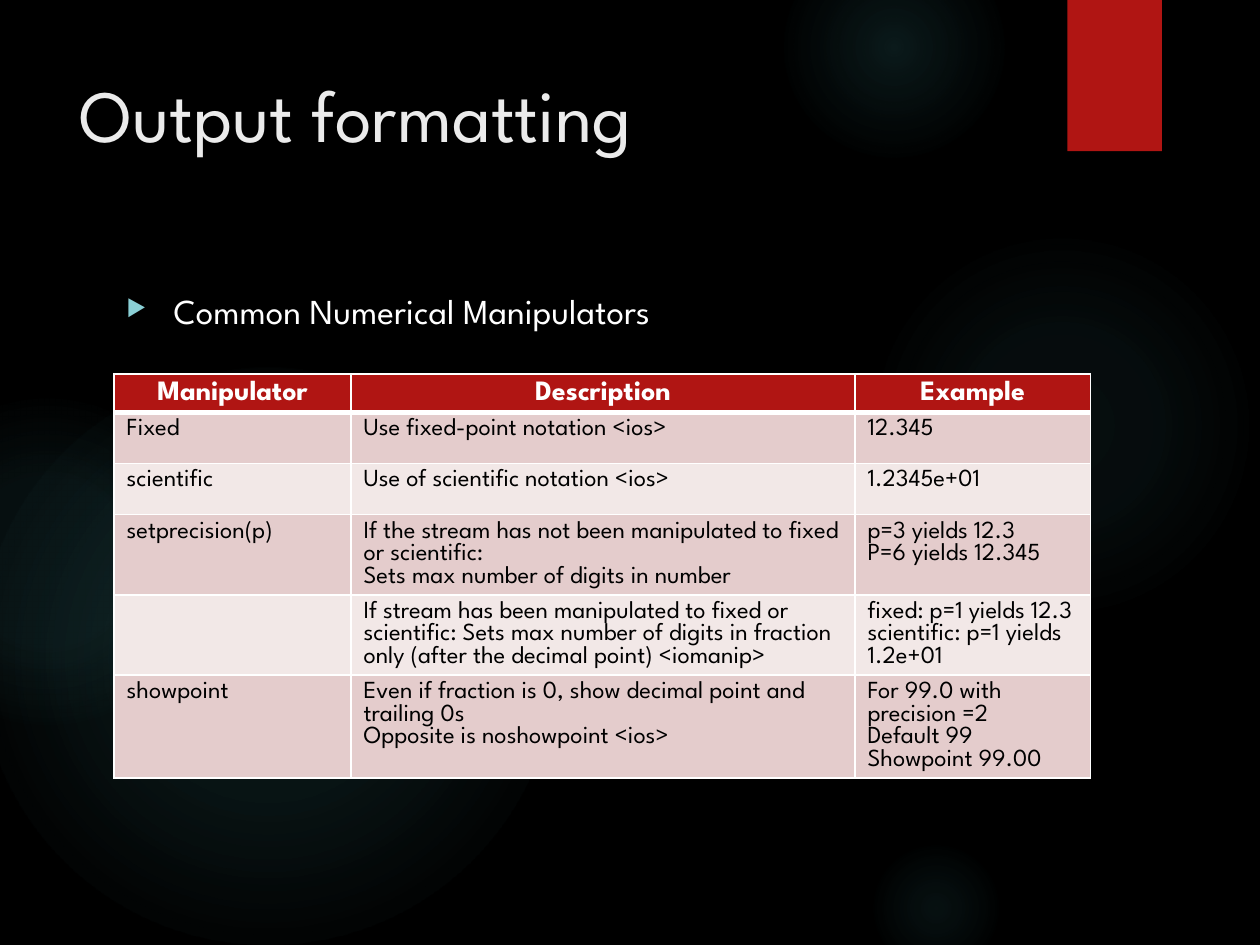
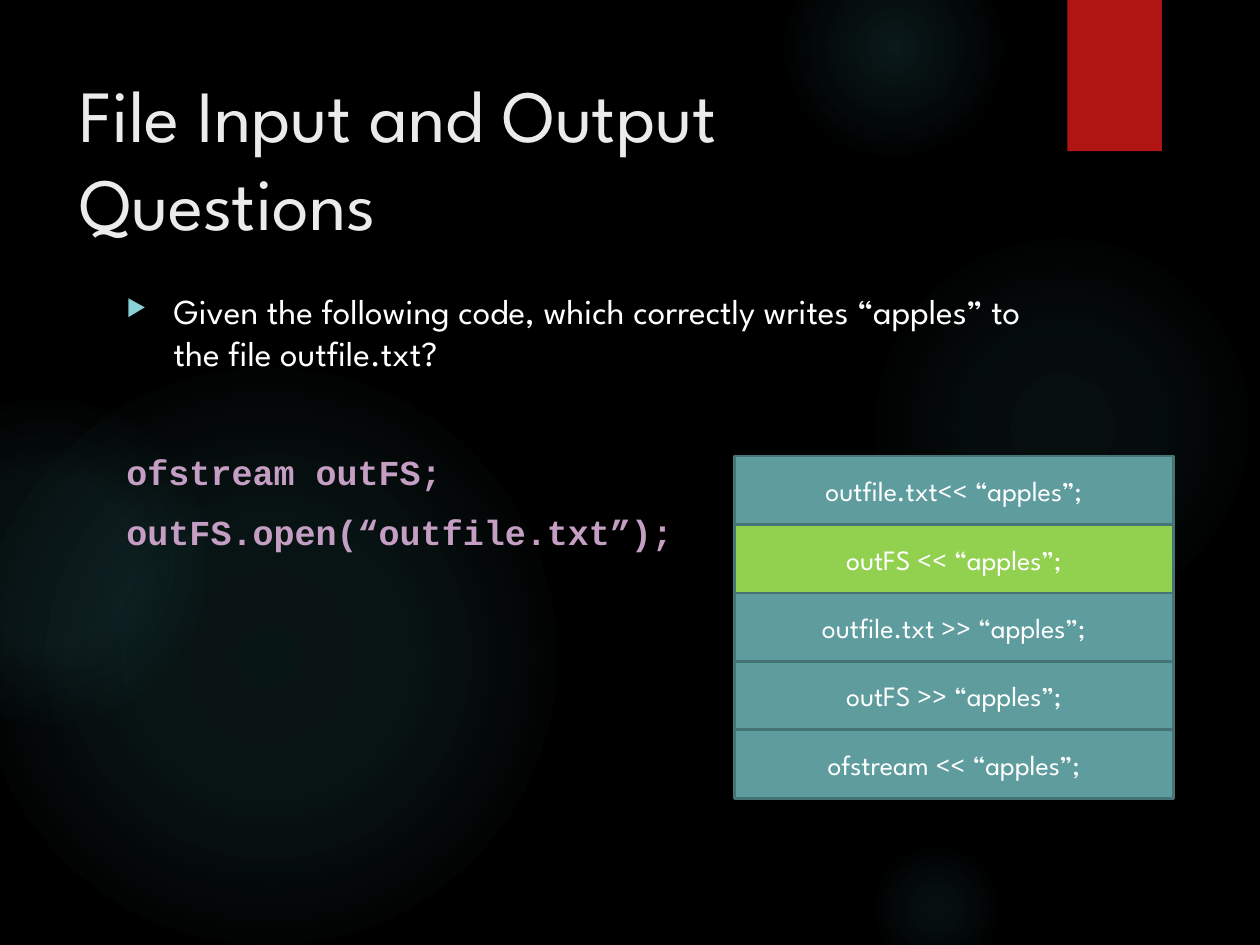
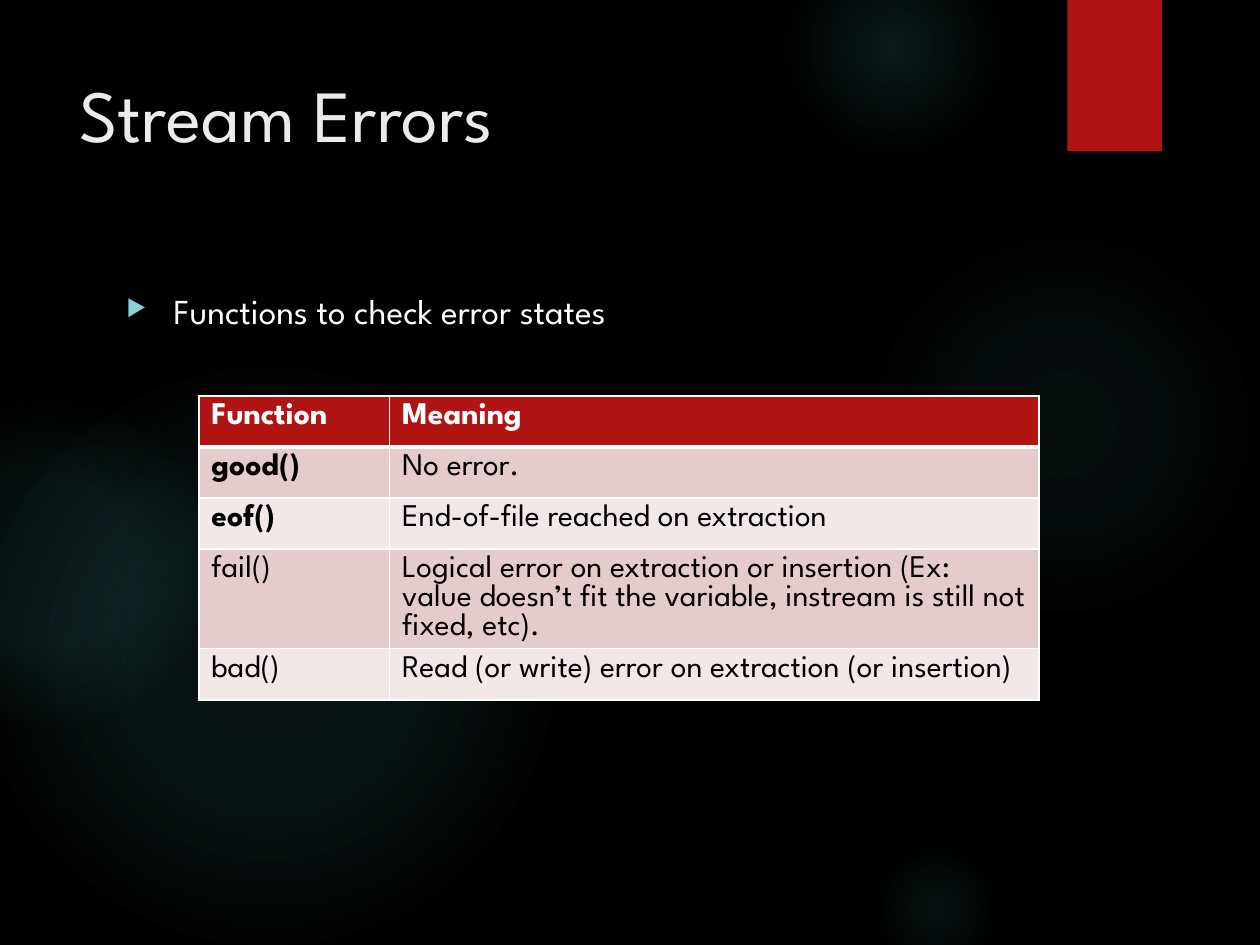
import pptx
import pptx.dml.color
import pptx.enum.shapes
import pptx.enum.text
import pptx.oxml
import pptx.oxml.ns
import pptx.util

Pt = pptx.util.Pt
RGB = pptx.dml.color.RGBColor
SHAPE = pptx.enum.shapes.MSO_SHAPE
ALIGN = pptx.enum.text.PP_ALIGN
ANCHOR = pptx.enum.text.MSO_ANCHOR
NS = pptx.oxml.ns.nsdecls("a")

SANS, MONO = "League Spartan", "Courier New"
BLACK = RGB(0x00, 0x00, 0x00)
WHITE = RGB(0xFF, 0xFF, 0xFF)
PALE = RGB(0xEB, 0xEB, 0xEB)
RED = RGB(0xB0, 0x15, 0x13)
BANDS = RGB(0xE4, 0xCC, 0xCC), RGB(0xF2, 0xE8, 0xE7)
GLOW = RGB(0x50, 0xB9, 0xC1)
AQUA = RGB(0x8A, 0xD0, 0xD6)
LILAC = RGB(0xC5, 0x9E, 0xC3)
TEAL = RGB(0x5F, 0x9C, 0x9D)
EDGE = RGB(0x46, 0x73, 0x74)
GREEN = RGB(0x92, 0xD0, 0x50)

LEFT = 65.2
LEADING = 0.92  # line height of table text, in ems

# left, top, size, then (position, opacity) stops in percent
GLOWS = [
    (496, 132, 222, [(0, 7), (36, 6), (69, 0)]),
    (448, -36, 126, [(0, 14), (36, 7), (73, 0)]),
    (496, 480, 78, [(0, 9), (36, 5), (66, 0)]),
    (-12, 210, 330, [(0, 11), (36, 10), (75, 0)]),
    (-66, 228, 186, [(0, 8), (36, 8), (72, 0)]),
]

MANIPS = [
    ["Manipulator", "Description", "Example"],
    ["Fixed", "Use fixed-point notation <ios>", "12.345"],
    ["scientific", "Use of scientific notation <ios>", "1.2345e+01"],
    ["setprecision(p)",
     "If the stream has not been manipulated to fixed or scientific:\n"
     "Sets max number of digits in number",
     "p=3 yields 12.3\nP=6 yields 12.345"],
    ["",
     "If stream has been manipulated to fixed or scientific: Sets max number "
     "of digits in fraction only (after the decimal point) <iomanip>",
     "fixed: p=1 yields 12.3\nscientific: p=1 yields 1.2e+01"],
    ["showpoint",
     "Even if fraction is 0, show decimal point and trailing 0s\n"
     "Opposite is noshowpoint <ios>",
     "For 99.0 with precision =2\nDefault 99\nShowpoint 99.00"],
]
ERRORS = [
    ["Function", "Meaning"],
    ["good()", "No error."],
    ["eof()", "End-of-file reached on extraction"],
    ["fail()", "Logical error on extraction or insertion (Ex: value doesn’t fit "
               "the variable, instream is still not fixed, etc)."],
    ["bad()", "Read (or write) error on extraction (or insertion)"],
]
CHOICES = [
    "outfile.txt<< “apples”;",
    "outFS << “apples”;",
    "outfile.txt >> “apples”;",
    "outFS >> “apples”;",
    "ofstream << “apples”;",
]
ANSWER = 1


def style(para, size, color, face=SANS, bold=False):
    font = para.font
    font.name, font.size, font.bold = face, Pt(size), bold
    font.color.rgb = color


def add_shape(slide, kind, left, top, width, height, fill=None):
    shape = slide.shapes.add_shape(kind, Pt(left), Pt(top), Pt(width), Pt(height))
    shape.shadow.inherit = False
    shape.line.fill.background()
    if fill is None:
        shape.fill.background()
    else:
        shape.fill.solid()
        shape.fill.fore_color.rgb = fill
    return shape


def add_glow(slide, left, top, size, stops):
    """Add a circle that fades out from its centre."""
    shape = add_shape(slide, SHAPE.OVAL, left, top, size, size)
    marks = "".join(
        f'<a:gs pos="{pos * 1000}"><a:srgbClr val="{GLOW}">'
        f'<a:alpha val="{alpha * 1000}"/></a:srgbClr></a:gs>'
        for pos, alpha in stops)
    grad = pptx.oxml.parse_xml(
        f'<a:gradFill {NS}><a:gsLst>{marks}</a:gsLst><a:path path="circle">'
        '<a:fillToRect l="50000" t="50000" r="50000" b="50000"/></a:path></a:gradFill>')
    props = shape.element.spPr
    props.replace(props.find(pptx.oxml.ns.qn("a:noFill")), grad)


def add_text(slide, left, top, width, height):
    box = slide.shapes.add_textbox(Pt(left), Pt(top), Pt(width), Pt(height))
    box.text_frame.word_wrap = True
    return box.text_frame


def add_slide(deck, title, point):
    """Add a slide with backdrop, title and one bullet; return it and its body."""
    slide = deck.slides.add_slide(deck.slide_layouts[6])
    back = slide.background.fill
    back.solid()
    back.fore_color.rgb = BLACK
    for glow in GLOWS:
        add_glow(slide, *glow)
    add_shape(slide, SHAPE.RECTANGLE, 610, 0, 54, 86.4, RED)

    head = add_text(slide, 38.2, 36, 556, 110).paragraphs[0]
    head.text = title
    style(head, 42, PALE)

    body = add_text(slide, LEFT, 162, 528.5, 330.5)
    para = body.paragraphs[0]
    para.text = point
    add_bullet(para)
    style(para, 20, WHITE)
    return slide, body


def add_bullet(para):
    props = para._p.get_or_add_pPr()
    props.set("marL", str(Pt(27)))
    props.set("indent", str(-Pt(27)))
    for xml in (f'<a:buClr {NS}><a:srgbClr val="{AQUA}"/></a:buClr>',
                f'<a:buSzPct {NS} val="65000"/>',
                f'<a:buChar {NS} char="▶"/>'):
        props.append(pptx.oxml.parse_xml(xml))


def add_code(body, lines):
    for num, line in enumerate(lines):
        para = body.add_paragraph()
        para.text = line
        para.space_before = Pt(10 if num else 44)
        style(para, 20, LILAC, MONO, True)


def set_edges(cell, top, base):
    """Draw white cell borders; top and base are widths in points."""
    props = cell._tc.get_or_add_tcPr()
    for num, (side, width) in enumerate(zip("LRTB", (1, 1, top, base))):
        props.insert(num, pptx.oxml.parse_xml(
            f'<a:ln{side} {NS} w="{Pt(width)}"><a:solidFill>'
            f'<a:srgbClr val="{WHITE}"/></a:solidFill></a:ln{side}>'))


def add_table(slide, left, top, cols, rows, head, sizes, align, bold=()):
    """Add a banded table; sizes are for head and body, bold names bold cells."""
    high = [head] + [29.2] * (len(rows) - 1)
    table = slide.shapes.add_table(len(rows), len(cols), Pt(left), Pt(top),
                                   Pt(sum(cols)), Pt(sum(high))).table
    for col, width in zip(table.columns, cols):
        col.width = Pt(width)
    for num, texts in enumerate(rows):
        table.rows[num].height = Pt(high[num])
        first = num == 0
        size = sizes[0 if first else 1]
        for cell, text in zip(table.rows[num].cells, texts):
            cell.text = text
            cell.fill.solid()
            cell.fill.fore_color.rgb = RED if first else BANDS[(num - 1) % 2]
            set_edges(cell, 3 if num == 1 else 1, 3 if first else 1)
            for para in cell.text_frame.paragraphs:
                para.alignment = align if first else ALIGN.LEFT
                para.line_spacing = Pt(size * LEADING)
                style(para, size, WHITE if first else BLACK,
                      bold=first or text in bold)


def add_choice(slide, top, text, fill):
    shape = add_shape(slide, SHAPE.RECTANGLE, 419.8, top, 250.6, 39.4, fill)
    shape.line.color.rgb = EDGE
    shape.line.width = Pt(1.5)
    frame = shape.text_frame
    frame.word_wrap = True
    frame.vertical_anchor = ANCHOR.MIDDLE
    para = frame.paragraphs[0]
    para.text = text
    para.alignment = ALIGN.CENTER
    style(para, 16, WHITE)


def main():
    deck = pptx.Presentation()
    deck.slide_width, deck.slide_height = Pt(720), Pt(540)

    slide, _ = add_slide(deck, "Output formatting", "Common Numerical Manipulators")
    add_table(slide, LEFT, 213.8, [135.4, 288, 134.6], MANIPS, 19.6, (16, 14),
              ALIGN.CENTER)

    slide, body = add_slide(
        deck, "File Input and Output\vQuestions",
        "Given the following code, which correctly writes “apples” to the file outfile.txt?")
    add_code(body, ["ofstream outFS;", "outFS.open(“outfile.txt”);"])
    for num, text in enumerate(CHOICES):
        add_choice(slide, 260.6 + 39.1 * num, text, GREEN if num == ANSWER else TEAL)

    slide, _ = add_slide(deck, "Stream Errors", "Functions to check error states")
    add_table(slide, 113.6, 226.2, [109, 371], ERRORS, 29.2, (18, 18),
              ALIGN.LEFT, ("good()", "eof()"))

    deck.save("out.pptx")


if __name__ == "__main__":
    main()
